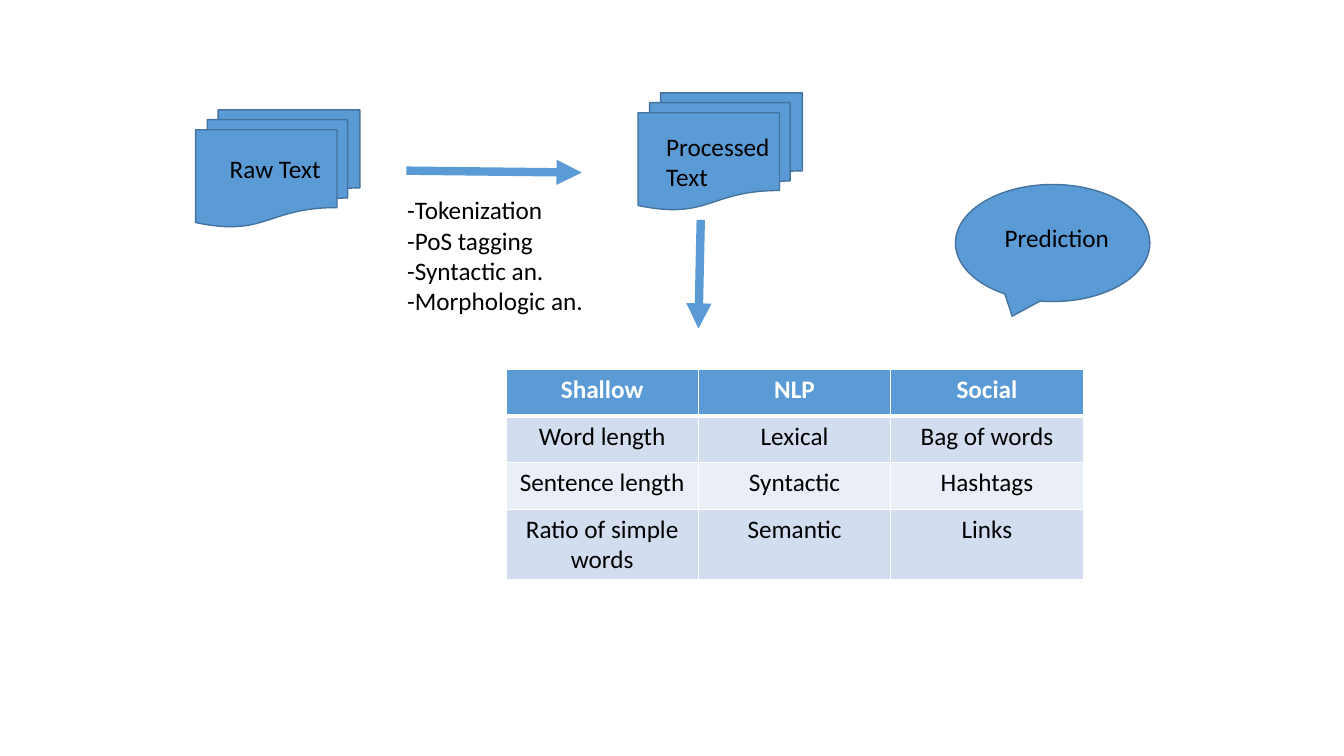
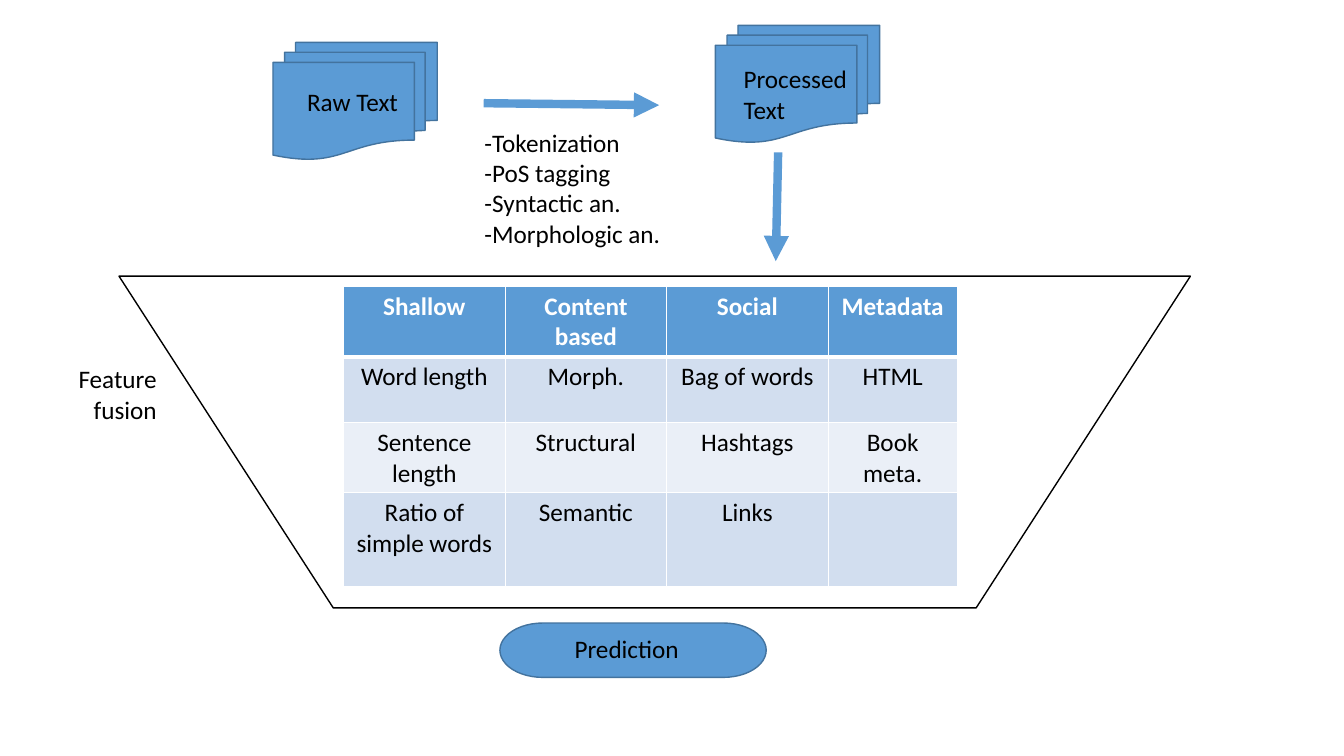
"""Build two slides that show a text readability prediction pipeline."""
from dataclasses import dataclass

from lxml import etree
from pptx import Presentation
from pptx.dml.color import RGBColor
from pptx.enum.shapes import MSO_CONNECTOR, MSO_SHAPE
from pptx.enum.text import MSO_ANCHOR, MSO_AUTO_SIZE, PP_ALIGN
from pptx.oxml.ns import qn
from pptx.util import Cm, Pt

CALLOUT = MSO_SHAPE.OVAL_CALLOUT
DOCUMENTS = MSO_SHAPE.FLOWCHART_MULTIDOCUMENT
FUNNEL = MSO_SHAPE.FLOWCHART_MANUAL_OPERATION
TERMINATOR = MSO_SHAPE.FLOWCHART_TERMINATOR
STRAIGHT = MSO_CONNECTOR.STRAIGHT
LEFT, CENTER, RIGHT = PP_ALIGN.LEFT, PP_ALIGN.CENTER, PP_ALIGN.RIGHT
TOP = MSO_ANCHOR.TOP
GROW = MSO_AUTO_SIZE.SHAPE_TO_FIT_TEXT


@dataclass(frozen=True)
class Theme:
    """Colours, type and line widths shared by the slides."""

    font: str = "Calibri"
    size: int = 18
    accent: str = "5B9BD5"
    outline: str = "43739E"
    ink: str = "000000"
    paper: str = "FFFFFF"
    bands: tuple = ("D2DEEF", "EAEFF7")
    thin: int = 1
    rule: int = 3
    arrow: int = 6


THEME = Theme()
FRAME_FORMAT = {"word_wrap": True, "auto_size": GROW, "vertical_anchor": TOP}
DOCUMENT_SIZE = (4.14, 2.95)
STEPS = "-Tokenization\n-PoS tagging\n-Syntactic an.\n-Morphologic an."


def apply_format(target, values):
    """Set each named attribute on the target."""
    for name, value in values.items():
        setattr(target, name, value)


def style_text(text_frame, align, color=THEME.ink, bold=False):
    """Give every paragraph the shared type style."""
    values = {"name": THEME.font, "size": Pt(THEME.size), "bold": bold}
    for paragraph in text_frame.paragraphs:
        paragraph.alignment = align
        for run in paragraph.runs:
            apply_format(run.font, values)
            run.font.color.rgb = RGBColor.from_string(color)


def add_label(slide, box, text, align=LEFT):
    """Place a text box in the box given in centimetres."""
    shape = slide.shapes.add_textbox(*map(Cm, box))
    apply_format(shape.text_frame, FRAME_FORMAT)
    shape.text_frame.text = text
    style_text(shape.text_frame, align)


def add_block(slide, kind, box, fill=THEME.accent, line=THEME.outline):
    """Place a filled and outlined preset shape."""
    shape = slide.shapes.add_shape(kind, *map(Cm, box))
    shape.shadow.inherit = False
    shape.fill.solid()
    shape.fill.fore_color.rgb = RGBColor.from_string(fill)
    shape.line.color.rgb = RGBColor.from_string(line)
    shape.line.width = Pt(THEME.thin)


def add_arrow(slide, start, end):
    """Draw a thick arrow between two points."""
    connector = slide.shapes.add_connector(STRAIGHT, *map(Cm, start + end))
    connector.line.color.rgb = RGBColor.from_string(THEME.accent)
    connector.line.width = Pt(THEME.arrow)
    etree.SubElement(connector.line._get_or_add_ln(), qn("a:tailEnd"), type="triangle")
    etree.SubElement(connector._element.spPr, qn("a:effectLst"))


def add_pipeline(slide, left, top):
    """Draw the path from raw text to processed text."""
    add_block(slide, DOCUMENTS, (left, top + 0.43, *DOCUMENT_SIZE))
    add_block(slide, DOCUMENTS, (left + 11.15, top, *DOCUMENT_SIZE))
    add_arrow(slide, (left + 5.31, top + 1.96), (left + 9.73, top + 2.01))
    add_arrow(slide, (left + 12.73, top + 3.2), (left + 12.67, top + 5.94))
    add_label(slide, (left + 0.61, top + 1.4, 2.95, 1.02), "Raw Text")
    add_label(slide, (left + 11.61, top + 0.84, 3.23, 1.8), "Processed\vText")
    add_label(slide, (left + 5.08, top + 2.44, 5.84, 3.33), STEPS)


def add_prediction(slide, kind, box, inset):
    """Draw the result shape with its label inset from the corner."""
    add_block(slide, kind, box)
    add_label(slide, (box[0] + inset[0], box[1] + inset[1], 3.63, 1.8), "Prediction")


def add_borders(cell, row):
    """Draw the cell edges, with a thick rule below the header."""
    properties = cell._tc.get_or_add_tcPr()
    for index, edge in enumerate(("lnL", "lnR", "lnT", "lnB")):
        under_header = (row, edge) in ((0, "lnB"), (1, "lnT"))
        width = Pt(THEME.rule if under_header else THEME.thin)
        line = etree.Element(qn(f"a:{edge}"), w=str(width))
        fill = etree.SubElement(line, qn("a:solidFill"))
        etree.SubElement(fill, qn("a:srgbClr"), val=THEME.paper)
        properties.insert(index, line)


def add_features(slide, left, top, widths, heights, rows):
    """Place the feature table with a header and banded rows."""
    box = (left, top, sum(widths), sum(heights))
    table = slide.shapes.add_table(len(rows), len(widths), *map(Cm, box)).table
    for column, width in zip(table.columns, widths):
        column.width = Cm(width)
    for index, (height, texts) in enumerate(zip(heights, rows)):
        table.rows[index].height = Cm(height)
        header = index == 0
        fill = THEME.accent if header else THEME.bands[(index - 1) % 2]
        color = THEME.paper if header else THEME.ink
        for cell, text in zip(table.rows[index].cells, texts):
            cell.text = text
            style_text(cell.text_frame, CENTER, color, header)
            cell.fill.solid()
            cell.fill.fore_color.rgb = RGBColor.from_string(fill)
            add_borders(cell, index)


def build_overview(slide):
    """Build the pipeline with three feature groups."""
    add_prediction(slide, CALLOUT, (24.08, 4.65, 4.9, 2.95), (0.99, 0.84))
    add_pipeline(slide, 4.93, 2.34)
    add_features(slide, 12.75, 9.32, [4.85] * 3, [1.17] * 4, (
        ("Shallow", "NLP", "Social"),
        ("Word length", "Lexical", "Bag of words"),
        ("Sentence length", "Syntactic", "Hashtags"),
        ("Ratio of simple words", "Semantic", "Links"),
    ))


def build_fusion(slide):
    """Build the pipeline with four feature groups fused in a funnel."""
    add_prediction(slide, TERMINATOR, (12.6, 15.7, 6.71, 1.37), (1.63, 0.13))
    add_block(slide, FUNNEL, (3, 6.96, 27, 8.36), THEME.paper, THEME.ink)
    add_pipeline(slide, 6.88, 0.64)
    add_features(slide, 8.66, 7.21, [4.07] * 3 + [3.25], [1.78, 1.65, 1.65, 2.36], (
        ("Shallow", "Content\nbased", "Social", "Metadata"),
        ("Word length", "Morph.", "Bag of words", "HTML"),
        ("Sentence length", "Structural", "Hashtags", "Book meta."),
        ("Ratio of simple words", "Semantic", "Links", ""),
    ))
    add_label(slide, (0.97, 9.04, 3.23, 1.8), "Feature fusion", RIGHT)


def main():
    """Create the presentation and save it."""
    presentation = Presentation()
    apply_format(presentation, {"slide_width": Cm(33.87), "slide_height": Cm(19.05)})
    blank = presentation.slide_layouts[6]
    for build in (build_overview, build_fusion):
        build(presentation.slides.add_slide(blank))
    presentation.save("out.pptx")


main()
